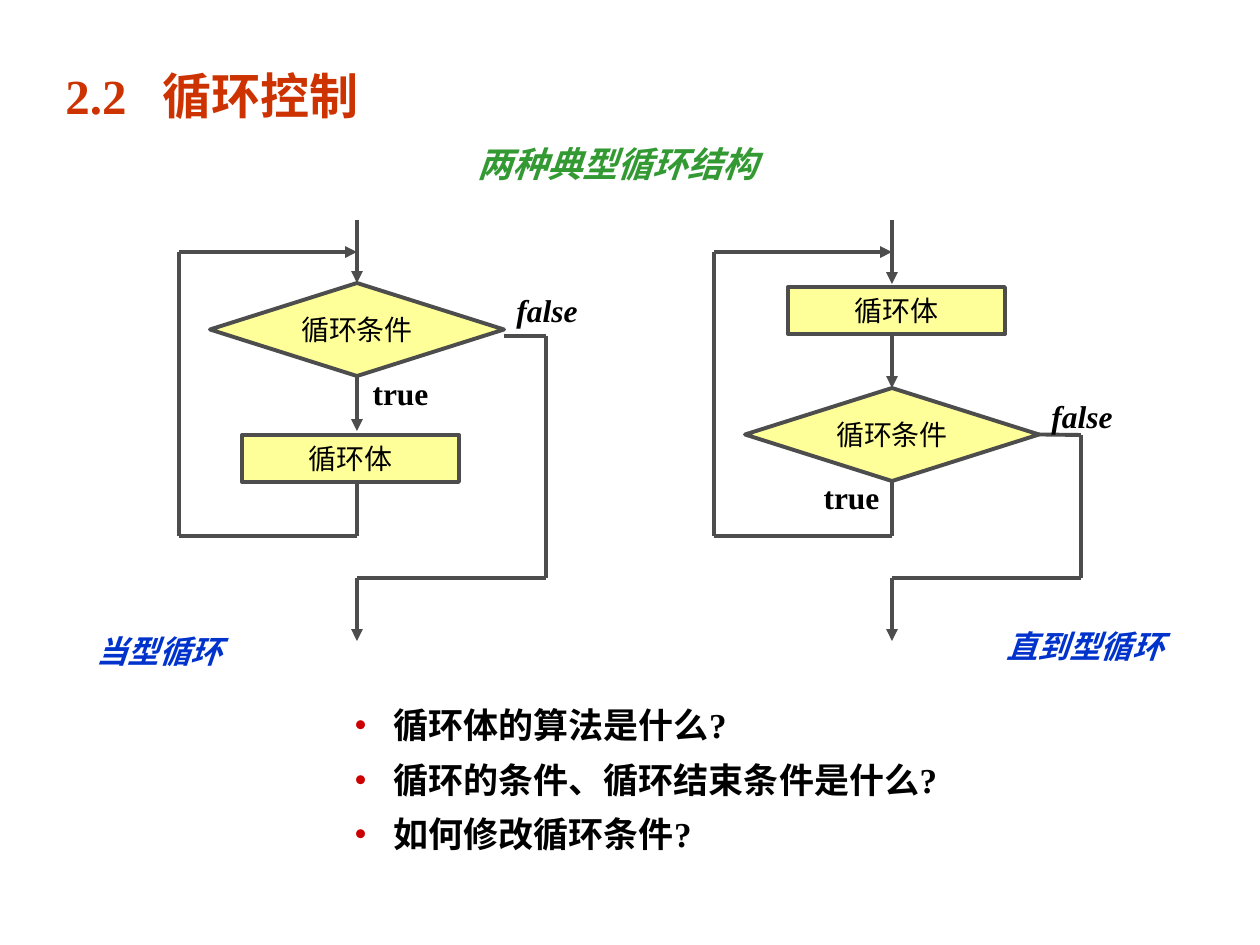
from lxml import etree
from pptx import Presentation
from pptx.dml.color import RGBColor
from pptx.enum.shapes import MSO_CONNECTOR as Connector, MSO_SHAPE as Shape
from pptx.enum.text import MSO_ANCHOR as Anchor, PP_ALIGN as Align
from pptx.oxml.ns import qn
from pptx.util import Pt

SCALE = 914400 / 126  # EMU per px
TITLE_RED = RGBColor(0xCC, 0x33, 0x00)
BULLET_RED = RGBColor(0xCC, 0x00, 0x00)
GREEN = RGBColor(0x33, 0x99, 0x33)
BLUE = RGBColor(0x00, 0x33, 0xCC)
BLACK = RGBColor(0x00, 0x00, 0x00)
GREY = RGBColor(0x4D, 0x4D, 0x4D)
YELLOW = RGBColor(0xFF, 0xFF, 0x99)
SERIF = "Times New Roman"

QUESTIONS = ["循环体的算法是什么?", "循环的条件、循环结束条件是什么?", "如何修改循环条件?"]


def px(*lengths):
    return [round(length * SCALE) for length in lengths]


def set_font(font, size, color, name=SERIF, bold=False, italic=False):
    font.size = Pt(size)
    font.name = name
    font.bold = bold
    font.italic = italic
    font.color.rgb = color


def add_tab_stop(paragraph, position):
    tabs = etree.SubElement(paragraph._p.get_or_add_pPr(), qn("a:tabLst"))
    etree.SubElement(tabs, qn("a:tab"), pos=str(px(position)[0]), algn="l")


def add_text(slide, box, text, size, color, align=Align.LEFT, tab=None, **style):
    shape = slide.shapes.add_textbox(*px(*box))
    frame = shape.text_frame
    frame.word_wrap = align != Align.CENTER
    frame.vertical_anchor = Anchor.MIDDLE
    paragraph = frame.paragraphs[0]
    paragraph.text = text
    paragraph.alignment = align
    if tab:
        add_tab_stop(paragraph, tab)
    set_font(paragraph.font, size, color, **style)


def add_step(slide, kind, box, text):
    shape = slide.shapes.add_shape(kind, *px(*box))
    shape.shadow.inherit = False
    shape.fill.solid()
    shape.fill.fore_color.rgb = YELLOW
    shape.line.color.rgb = GREY
    shape.line.width = Pt(2.25)
    frame = shape.text_frame
    frame.word_wrap = False
    frame.vertical_anchor = Anchor.MIDDLE
    paragraph = frame.paragraphs[0]
    paragraph.text = text
    paragraph.alignment = Align.CENTER
    set_font(paragraph.font, 16, BLACK)
    return shape


def add_line(slide, start, end, arrow=False):
    line = slide.shapes.add_connector(Connector.STRAIGHT, *px(*start, *end))
    line.line.color.rgb = GREY
    line.line.width = Pt(2.25)
    if arrow:
        etree.SubElement(line.line._get_or_add_ln(), qn("a:tailEnd"), type="triangle")
    etree.SubElement(line._element.spPr, qn("a:effectLst"))
    return line


def add_loop(slide, left, top, condition_first):
    """Flowchart of one loop, with its corner at (left, top)."""
    axis, right = 178, 367
    back_y, bottom_y, out_y, end_y = 32, 316, 358, 421
    if condition_first:
        decision_y, body_x, body_y, exit_y = 63, 63, 215, 116
        true_at, false_y = (181, 148), 65
    else:
        decision_y, body_x, body_y, exit_y = 168, 74, 67, 215
        true_at, false_y = (97, 252), 171

    def at(x, y):
        return left + x, top + y

    def line(start, end, arrow=False):
        return add_line(slide, at(*start), at(*end), arrow)

    # Steps
    decision = add_step(slide, Shape.FLOWCHART_DECISION,
                        (*at(31, decision_y), 294, 93), "循环条件")
    add_step(slide, Shape.FLOWCHART_PROCESS, (*at(body_x, body_y), 217, 47), "循环体")

    # Flow down the axis
    decision_end = decision_y + 93
    entry = line((axis, 0), (axis, 64), arrow=True)
    if condition_first:
        entry.end_connect(decision, 0)
        line((axis, decision_end), (axis, 211), arrow=True).begin_connect(decision, 2)
        line((axis, body_y + 47), (axis, bottom_y))
    else:
        line((axis, body_y + 47), (axis, decision_y), arrow=True).end_connect(decision, 0)
        line((axis, decision_end), (axis, bottom_y)).begin_connect(decision, 2)

    # Way back to the start
    line((axis, bottom_y), (0, bottom_y))
    line((0, bottom_y), (0, back_y))
    line((0, back_y), (axis, back_y), arrow=True)

    # Way out
    way_out = line((325, exit_y), (right, exit_y))
    if not condition_first:
        way_out.begin_connect(decision, 3)
    line((right, exit_y), (right, out_y))
    line((axis, out_y), (right, out_y))
    line((axis, out_y), (axis, end_y), arrow=True)

    # Branch labels
    add_text(slide, (*at(*true_at), 81, 50), "true", 18, BLACK, Align.CENTER, bold=True)
    add_text(slide, (*at(325, false_y), 86, 50), "false", 18, BLACK, Align.CENTER,
             bold=True, italic=True)


def add_questions(slide, box):
    frame = slide.shapes.add_textbox(*px(*box)).text_frame
    frame.word_wrap = True
    frame.vertical_anchor = Anchor.MIDDLE
    for index, question in enumerate(QUESTIONS):
        paragraph = frame.paragraphs[0] if index == 0 else frame.add_paragraph()
        paragraph.line_spacing = 1.3
        add_tab_stop(paragraph, 50)
        for text, color, name in (("•\t", BULLET_RED, "Arial"), (question, BLACK, SERIF)):
            run = paragraph.add_run()
            run.text = text
            set_font(run.font, 20, color, name, bold=True)


def main():
    presentation = Presentation()
    presentation.slide_width, presentation.slide_height = px(1260, 945)
    slide = presentation.slides.add_slide(presentation.slide_layouts[6])

    # Headings
    add_text(slide, (53, 53, 609, 84), "2.2\t循环控制", 28, TITLE_RED, tab=97, bold=True)
    add_text(slide, (465, 136, 333, 55), "两种典型循环结构", 20, GREEN,
             name="Noto Sans CJK SC", bold=True, italic=True)

    # Loops and their captions
    add_loop(slide, 179, 220, condition_first=True)
    add_loop(slide, 714, 220, condition_first=False)
    add_text(slide, (84, 626, 170, 50), "当型循环", 18, BLUE, bold=True, italic=True)
    add_text(slide, (994, 621, 200, 50), "直到型循环", 18, BLUE, bold=True, italic=True)

    add_questions(slide, (331, 685, 610, 176))
    presentation.save("out.pptx")


if __name__ == "__main__":
    main()
